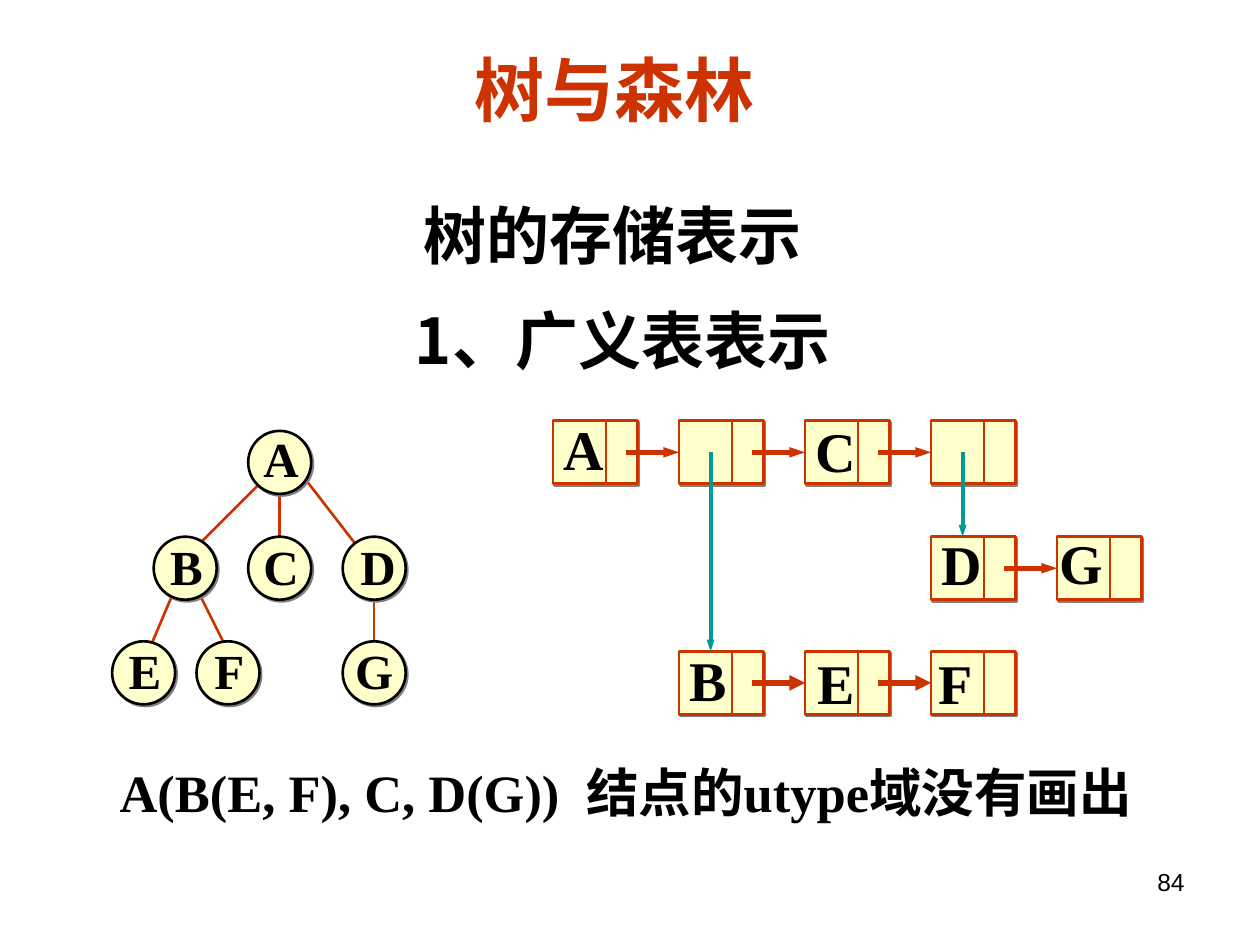
from lxml.etree import SubElement
from pptx import Presentation
from pptx.dml.color import RGBColor
from pptx.enum.shapes import MSO_CONNECTOR, MSO_SHAPE
from pptx.enum.text import MSO_ANCHOR, PP_ALIGN
from pptx.oxml.ns import qn
from pptx.util import Inches, Pt

RED = RGBColor(0xCC, 0x33, 0x00)
TEAL = RGBColor(0x00, 0x99, 0x99)
CREAM = RGBColor(0xFF, 0xFF, 0xCC)
BLACK = RGBColor(0x00, 0x00, 0x00)
GRAY = RGBColor(0x80, 0x80, 0x80)

SERIF = "Times New Roman"
SANS = "Arial"
CJK = "Noto Sans CJK JP"

NODE_SIZE = 0.5
TREE_NODES = {
    "A": (1.08, 0),
    "B": (0.33, 0.84),
    "C": (1.08, 0.84),
    "D": (1.83, 0.84),
    "E": (0, 1.67),
    "F": (0.67, 1.67),
    "G": (1.83, 1.67),
}
TREE_EDGES = [
    (2.08, 1.25, 2.08, 1.84),
    (1.5, 0.34, 2.08, 1.09),
    (0.67, 1.25, 0.92, 1.75),
    (0.5, 1.25, 0.25, 1.84),
    (1.17, 0.42, 0.67, 0.92),
    (1.33, 0.42, 1.33, 0.92),
]
TREE_LABELS = {
    "A": (0.02, -0.07, 0.48),
    "B": (0.03, -0.05, 0.46),
    "C": (0.02, -0.05, 0.48),
    "D": (0.04, -0.05, 0.48),
    "E": (0.03, -0.06, 0.46),
    "F": (0.04, -0.06, 0.44),
    "G": (0, -0.06, 0.5),
}

CELL_WIDTH, CELL_HEIGHT, CELL_PITCH = 0.67, 0.5, 1
DIVIDER, POINTER, CHILD = 0.42, 0.58, 0.25
LIST_ROWS = [
    (0, 0, ["A", None, "C", None], "sm"),
    (3, 0.92, ["D", "G"], "sm"),
    (1, 1.83, ["B", "E", "F"], "med"),
]
CHILD_LINKS = [(1, 1.83), (3, 0.92)]
LIST_LABELS = {
    "A": (-0.02, -0.1, 0.52),
    "B": (-0.02, -0.1, 0.49),
    "C": (-0.02, -0.09, 0.52),
    "D": (-0.02, -0.11, 0.52),
    "E": (0, -0.08, 0.49),
    "F": (-0.04, -0.08, 0.47),
    "G": (-0.08, -0.12, 0.54),
}


def add_text(shapes, box, runs, size, font, color=BLACK, bold=True,
             align=PP_ALIGN.CENTER, anchor=MSO_ANCHOR.TOP, wrap=True):
    frame = shapes.add_textbox(*map(Inches, box)).text_frame
    frame.word_wrap = wrap
    frame.vertical_anchor = anchor
    paragraph = frame.paragraphs[0]
    paragraph.alignment = align
    for text, spacing in runs:
        run = paragraph.add_run()
        run.text = text
        run.font.size = Pt(size)
        run.font.bold = bold
        run.font.name = font
        run.font.color.rgb = color
        properties = run.font._element
        SubElement(properties, qn("a:ea")).set("typeface", CJK)
        if spacing:
            properties.set("spc", str(spacing))


def add_label(shapes, letter, left, top, offsets, height, size):
    dx, dy, width = offsets[letter]
    add_text(shapes, (left + dx, top + dy, width, height), [(letter, 0)],
             size, SERIF, anchor=MSO_ANCHOR.MIDDLE, wrap=False)


def add_line(shapes, ends, color=RED, width=1.5, head=None):
    line = shapes.add_connector(MSO_CONNECTOR.STRAIGHT, *map(Inches, ends))
    line.line.color.rgb = color
    line.line.width = Pt(width)
    if head:
        tail = SubElement(line.line._get_or_add_ln(), qn("a:tailEnd"))
        tail.set("type", "triangle")
        tail.set("w", head)
        tail.set("len", "med")
    SubElement(line._element.spPr, qn("a:effectLst"))
    return line


def add_node(shapes, kind, box, line_color):
    shape = shapes.add_shape(kind, *map(Inches, box))
    shape.fill.solid()
    shape.fill.fore_color.rgb = CREAM
    shape.line.color.rgb = line_color
    shape.line.width = Pt(1.5)
    shape.shadow.inherit = False
    effects = shape._element.spPr.find(qn("a:effectLst"))
    shadow = SubElement(effects, qn("a:outerShdw"))
    shadow.set("dist", str(Pt(1.4)))
    shadow.set("dir", "2700000")
    SubElement(shadow, qn("a:srgbClr")).set("val", str(GRAY))
    return shape


def build_tree(slide, left, top):
    shapes = slide.shapes.add_group_shape().shapes
    for x1, y1, x2, y2 in TREE_EDGES:
        add_line(shapes, (left + x1, top + y1, left + x2, top + y2))
    for x, y in TREE_NODES.values():
        add_node(shapes, MSO_SHAPE.OVAL,
                 (left + x, top + y, NODE_SIZE, NODE_SIZE), BLACK)
    for letter, (x, y) in TREE_NODES.items():
        add_label(shapes, letter, left + x, top + y, TREE_LABELS, 0.57, 28)


def build_list_row(shapes, left, top, letters, head):
    middle = top + CELL_HEIGHT / 2
    arrow = None
    for index, letter in enumerate(letters):
        x = left + index * CELL_PITCH
        cell = add_node(shapes, MSO_SHAPE.RECTANGLE,
                        (x, top, CELL_WIDTH, CELL_HEIGHT), RED)
        if arrow:
            arrow.end_connect(cell, 1)
        add_line(shapes, (x + DIVIDER, top, x + DIVIDER, top + CELL_HEIGHT))
        if index < len(letters) - 1:
            arrow = add_line(shapes, (x + POINTER, middle, x + CELL_PITCH, middle),
                             width=3, head=head)
        if letter:
            add_label(shapes, letter, x, top, LIST_LABELS, 0.64, 32)


def build_linked_list(slide, left, top):
    shapes = slide.shapes.add_group_shape().shapes
    for column, y, letters, head in LIST_ROWS:
        build_list_row(shapes, left + column * CELL_PITCH, top + y, letters, head)
    for column, y in CHILD_LINKS:
        x = left + column * CELL_PITCH + CHILD
        add_line(shapes, (x, top + CELL_HEIGHT / 2, x, top + y), TEAL, 2.25, "sm")


def build_headings(slide):
    add_text(slide.shapes, (2.91, 0.32, 3.94, 0.76), [("树与森林", 0)], 40, SANS,
             RED, anchor=MSO_ANCHOR.MIDDLE)
    add_text(slide.shapes, (1.61, 1.51, 6.5, 0.7), [("树的存储表示", 0)], 36, CJK)
    add_text(slide.shapes, (1.69, 2.34, 6.5, 0.7), [("1、广义表表示", 0)], 36, CJK)


def build_footer(slide):
    formula = [("A(B(E, F), C, D(G))", 0), (" ", 750), ("结点的utype域没有画出", 0)]
    add_text(slide.shapes, (0.59, 5.98, 8.75, 0.6), formula, 30, SERIF)
    add_text(slide.shapes, (7.17, 6.83, 2.33, 0.52), [("84", 0)], 14, SANS,
             bold=False, align=PP_ALIGN.RIGHT)


def main():
    presentation = Presentation()
    presentation.slide_width = Inches(10)
    presentation.slide_height = Inches(7.5)
    slide = presentation.slides.add_slide(presentation.slide_layouts[6])
    build_headings(slide)
    build_tree(slide, 0.89, 3.42)
    build_linked_list(slide, 4.39, 3.34)
    build_footer(slide)
    presentation.save("out.pptx")


if __name__ == "__main__":
    main()
